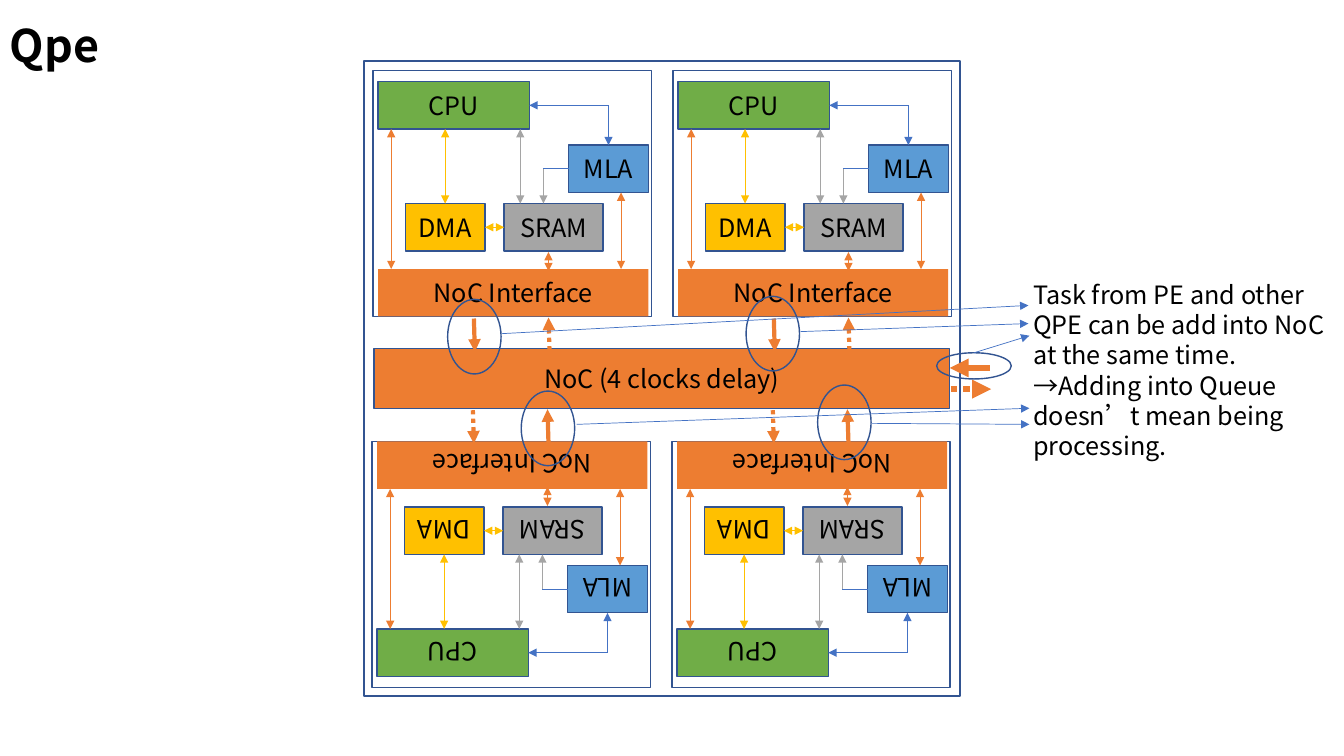
from lxml.etree import SubElement
from pptx import Presentation
from pptx.dml.color import RGBColor
from pptx.enum.dml import MSO_LINE
from pptx.enum.shapes import MSO_CONNECTOR, MSO_SHAPE
from pptx.enum.text import MSO_ANCHOR, PP_ALIGN
from pptx.oxml.ns import qn
from pptx.util import Inches, Pt

FONT = "Noto Sans CJK SC"
COLORS = {
    "text": "000000", "outline": "325491", "blue": "4472C4", "noc": "ED7D31",
    "cpu": "70AD47", "mla": "5B9BD5", "sram": "A5A5A5", "dma": "FFC000",
}
TOP, LEFT, RIGHT = 0, 1, 3  # connection sites of a rectangle

# Processing element, in grid cells from its frame's corner
PE_WIDTH, PE_HEIGHT, PE_PITCH = 27.6, 24.4, 29.75
BLOCKS = {
    "CPU": (0.5, 1.1, 15, 4.7, "cpu"),
    "MLA": (19.4, 7.4, 7.9, 4.7, "mla"),
    "SRAM": (13, 13.2, 9.8, 4.7, "sram"),
    "NoC Interface": (0.5, 19.7, 26.8, 4.7, "noc"),
    "DMA": (3.2, 13.2, 7.9, 4.7, "dma"),
}
# start, end, colour, arrowheads, joined block and side at start and at end
WIRES = [
    ((17.4, 18), (17.4, 19.9), "noc", "both", None, None),
    ((24.6, 12.1), (24.6, 19.7), "noc", "both", None, None),
    ((1.8, 5.8), (1.8, 19.7), "noc", "both", None, None),
    ((23.35, 7.4), (23.35, 3.45), "blue", "head", ("MLA", TOP), None),
    ((23.35, 3.45), (15.5, 3.45), "blue", "tail", None, ("CPU", RIGHT)),
    ((14.6, 5.8), (14.6, 13.2), "sram", "both", None, None),
    ((16.9, 9.75), (16.9, 13.2), "sram", "tail", None, None),
    ((19.4, 9.75), (16.85, 9.75), "blue", "none", ("MLA", LEFT), None),
    ((7.15, 5.8), (7.15, 13.2), "dma", "both", None, ("DMA", TOP)),
    ((11.1, 15.55), (13, 15.55), "dma", "both", ("DMA", RIGHT), ("SRAM", LEFT)),
]

# Highlighted arrows: column, row, width, height
HIGHLIGHTS = [
    (44.4, 29.7, 5.3, 7.4), (74, 29.4, 5.3, 7.4), (81.1, 38.2, 5.3, 7.4),
    (51.7, 38.8, 5.3, 7.4), (92.9, 35, 7.4, 2.6),
]
POINTERS = [
    ((96.6, 35), (102.1, 33.3)), ((79.4, 32.9), (102, 32.1)),
    ((86.5, 42), (102.1, 42.1)), ((57.2, 42.1), (102.1, 40.5)),
    ((49.8, 33.1), (102, 30.3)),
]


def cells(count):
    """Ten grid cells make an inch."""
    return Inches(count / 10)


def color(name):
    return RGBColor.from_string(COLORS[name])


def write(frame, text, size=18, bold=False, align=PP_ALIGN.LEFT, anchor=MSO_ANCHOR.TOP):
    frame.word_wrap = True
    frame.vertical_anchor = anchor
    frame.text = text
    for paragraph in frame.paragraphs:
        paragraph.alignment = align
        for run in paragraph.runs:
            run.font.size = Pt(size)
            run.font.bold = bold
            run.font.color.rgb = color("text")
            run.font.name = FONT
            SubElement(run.font._element, qn("a:ea"), typeface=FONT)


def label(slide, column, row, width, height, text, **text_format):
    box = slide.shapes.add_textbox(*map(cells, (column, row, width, height)))
    write(box.text_frame, text, **text_format)


def block(shapes, column, row, width, height, fill=None, outline=1, text=None,
          kind=MSO_SHAPE.RECTANGLE, flipped=False):
    part = shapes.add_shape(kind, *map(cells, (column, row, width, height)))
    part.shadow.inherit = False
    if fill:
        part.fill.solid()
        part.fill.fore_color.rgb = color(fill)
    else:
        part.fill.background()
    if outline:
        part.line.color.rgb = color("outline")
        part.line.width = Pt(outline)
    else:
        part.line.fill.background()
    if text:
        write(part.text_frame, text, align=PP_ALIGN.CENTER, anchor=MSO_ANCHOR.MIDDLE)
    if flipped:
        part._element.spPr.get_or_add_xfrm().set("flipV", "1")
    return part


def arrow(shapes, start, end, stroke, width=0.5, heads="tail", dotted=False):
    link = shapes.add_connector(MSO_CONNECTOR.STRAIGHT, *map(cells, (*start, *end)))
    link.line.color.rgb = color(stroke)
    link.line.width = Pt(width)
    if dotted:
        link.line.dash_style = MSO_LINE.ROUND_DOT
    properties = link._element.spPr
    for side in ("head", "tail"):
        if heads in (side, "both"):
            SubElement(properties.find(qn("a:ln")), qn(f"a:{side}End"), type="triangle")
    SubElement(properties, qn("a:effectLst"))
    return link


def processing_element(slide, column, row, flipped):
    shapes = slide.shapes.add_group_shape().shapes

    def place(x, y):
        return column + x, row + (PE_HEIGHT - y if flipped else y)

    block(shapes, column, row, PE_WIDTH, PE_HEIGHT, flipped=flipped)
    blocks = {}
    for name, (x, y, width, height, fill) in BLOCKS.items():
        corner = place(x, y + height if flipped else y)
        blocks[name] = block(shapes, *corner, width, height, fill, text=name,
                             outline=0 if fill == "noc" else 1, flipped=flipped)

    for start, end, stroke, heads, source, target in WIRES:
        wire = arrow(shapes, place(*start), place(*end), stroke, heads=heads)
        for joint, connect in ((source, wire.begin_connect), (target, wire.end_connect)):
            # A flipped block has its top site at the bottom
            if joint and not (flipped and joint[1] == TOP):
                connect(blocks[joint[0]], joint[1])


def main():
    deck = Presentation()
    deck.slide_width, deck.slide_height = Inches(13.33), Inches(7.5)
    slide = deck.slides.add_slide(deck.slide_layouts[6])
    shapes = slide.shapes

    # Outer frame, NoC and title
    block(shapes, 36.1, 6.1, 59.1, 63, outline=1.5)
    block(shapes, 37.1, 34.6, 57.1, 5.9, "noc", text="NoC (4 clocks delay)")
    label(slide, 0, 1.3, 26.8, 6.4, "Qpe", size=32, bold=True)

    # Four processing elements and their ports into the NoC
    for shift in (0, PE_PITCH):
        processing_element(slide, 37 + shift, 7, flipped=False)
        processing_element(slide, 36.9 + shift, 43.8, flipped=True)
        for x, y, heads, dotted in (
            (47, 31.6, "tail", False), (54.4, 31.5, "head", True),
            (46.9, 40.7, "tail", True), (54.3, 40.6, "head", False),
        ):
            arrow(shapes, (x + shift, y), (x + shift + 0.1, y + 3.3), "noc", 3, heads, dotted)

    # Ports to other QPEs
    arrow(shapes, (94.2, 36.5), (98.2, 36.5), "noc", 4.5, "head")
    arrow(shapes, (94.3, 38.6), (98.3, 38.6), "noc", 4.5, dotted=True)

    # Highlights and the note they point to
    for highlight in HIGHLIGHTS:
        block(shapes, *highlight, kind=MSO_SHAPE.OVAL)
    label(slide, 101.5, 27.2, 33.3, 19.2,
          "Task from PE and other QPE can be add into NoC at the same time.\n"
          "→Adding into Queue doesn’t mean being processing.")
    for start, end in POINTERS:
        arrow(shapes, start, end, "blue")

    deck.save("out.pptx")


if __name__ == "__main__":
    main()
